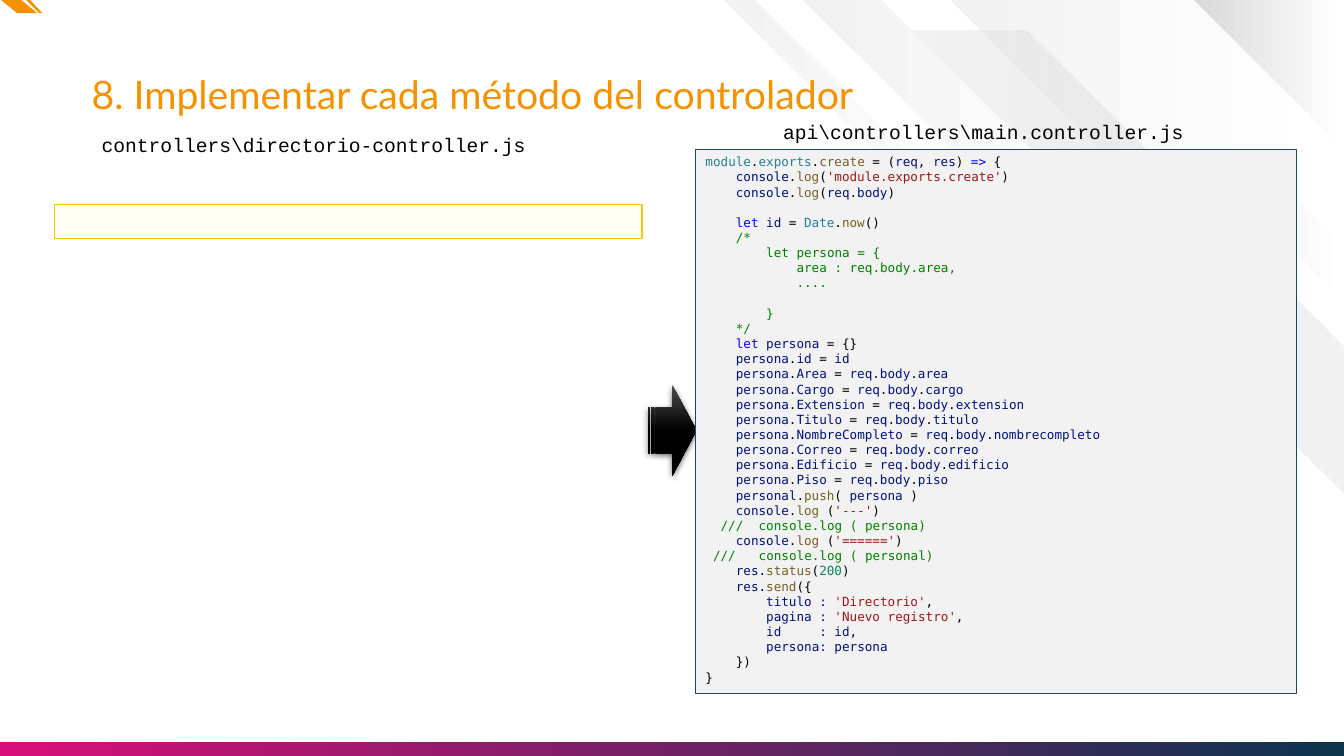
from dataclasses import dataclass
from itertools import groupby

from lxml import etree
from pptx import Presentation
from pptx.dml.color import RGBColor
from pptx.enum.shapes import MSO_SHAPE
from pptx.enum.text import MSO_ANCHOR, PP_ALIGN
from pptx.oxml.ns import qn
from pptx.util import Inches, Pt

RECTANGLE = MSO_SHAPE.RECTANGLE
STRIPED_ARROW = MSO_SHAPE.STRIPED_RIGHT_ARROW
TOP, MIDDLE = MSO_ANCHOR.TOP, MSO_ANCHOR.MIDDLE
LEFT = PP_ALIGN.LEFT
COLUMNS, ROWS = 160, 90


@dataclass(frozen=True)
class Theme:
    accent: str = "F69200"
    ink: str = "000000"
    panel: str = "F2F2F2"
    panel_line: str = "20455A"
    note: str = "FFFFF3"
    note_line: str = "FEC306"
    type_name: str = "267F99"
    function: str = "795E26"
    variable: str = "001080"
    keyword: str = "0000FF"
    string: str = "A31515"
    number: str = "098658"
    comment: str = "008000"
    pale: tuple = ((0, "FFFFFF", 100), (100, "F2F2F2", 100))
    veil: tuple = ((0, "F2F2F2", 100), (100, "D9D9D9", 26))
    corner: tuple = ((0, "FFFFFF", 100), (100, "D9D9D9", 100))
    footer: tuple = ((0, "0C344C", 100), (100, "D80F79", 100))
    arrow: tuple = ((0, "4B4B4B", 100), (50, "000000", 100), (100, "000000", 100))
    title_font: str = "Lato"
    caption_font: str = "Courier New"
    code_font: str = "DejaVu Sans Mono"
    title_size: float = 28
    caption_size: float = 14
    code_size: float = 9
    code_line: float = 10.8
    code_character: float = 5.42


THEME = Theme()

WORD_COLOURS = {
    **dict.fromkeys(["module", "exports", "Date"], THEME.type_name),
    **dict.fromkeys(["create", "log", "now", "push", "status", "send"], THEME.function),
    **dict.fromkeys(["let", "=>"], THEME.keyword),
    ":": THEME.variable,
}

BANDS = [
    (THEME.pale, [(160, 0), (113.2, 0), (160, 46.8)]),
    (THEME.veil, [(160, 41.3), (122.3, 3.6), (104.5, 3.6), (160, 58.9)]),
    (THEME.pale, [(160, 29.4), (149.9, 19.3), (149.9, 25.7), (160, 35.8)]),
    (THEME.pale, [(138.8, 33.8), (104.9, 0), (95.6, 0), (129.6, 33.8)]),
    (THEME.corner, [(160, 0), (142.2, 0), (160, 17.8)]),
    (THEME.pale, [(89.8, 0), (120.1, 30.4), (120.1, 33.8), (86.2, 0)]),
    (THEME.accent, [(0.12, 0), (2.04, 1.56), (4.44, 1.56), (2.52, 0)]),
    (THEME.accent, [(3.12, 0), (4.68, 1.56), (5.04, 1.56), (3.6, 0)]),
]

CODE_OPENING = """module.exports.create = (req, res) => {
    console.log('module.exports.create')
    console.log(req.body)

    let id = Date.now()
    /*
        let persona = {
            area : req.body.area,
            ....

        }
    */
    let persona = {}
    persona.id = id"""

FIELDS = ["Area", "Cargo", "Extension", "Titulo", "NombreCompleto", "Correo", "Edificio", "Piso"]

CODE_CLOSING = """    personal.push( persona )
    console.log ('---')
  ///  console.log ( persona)
    console.log ('======')
 ///   console.log ( personal)
    res.status(200)
    res.send({
        titulo : 'Directorio',
        pagina : 'Nuevo registro',
        id     : id,
        persona: persona
    })
}"""


def token_colour(token):
    """Return the colour of one word, number or symbol."""
    if token.isdigit():
        return THEME.number
    return WORD_COLOURS.get(token, THEME.variable if token.isalnum() else THEME.ink)


def coloured_runs(line):
    """Split a line of code into neighbouring pieces of one colour each."""
    tokens = []
    for index, part in enumerate(line.split("'")):
        if index % 2:
            tokens.append((f"'{part}'", THEME.string))
            continue
        for _, letters in groupby(part, lambda c: (c.isalnum(), c.isspace())):
            token = "".join(letters)
            tokens.append((token, token_colour(token)))
    for colour, group in groupby(tokens, lambda pair: pair[1]):
        yield "".join(text for text, _ in group), colour


class SlideBuilder:
    """Draws themed elements on one slide, measured in columns and rows."""

    def __init__(self, presentation, theme):
        self.theme = theme
        self.column = presentation.slide_width / COLUMNS
        self.row = presentation.slide_height / ROWS
        self.slide = presentation.slides.add_slide(presentation.slide_layouts[6])

    def place(self, column, row):
        return round(column * self.column), round(row * self.row)

    def box(self, left, top, width, height):
        return *self.place(left, top), *self.place(width, height)

    def paint(self, shape, fill, line=None, angle=180):
        shape.shadow.inherit = False
        if isinstance(fill, str):
            shape.fill.solid()
            shape.fill.fore_color.rgb = RGBColor.from_string(fill)
        else:
            self.gradient(shape, fill, angle)
        if line:
            shape.line.color.rgb = RGBColor.from_string(line)
            shape.line.width = Pt(0.75)
        else:
            shape.line.fill.background()

    def gradient(self, shape, stops, angle):
        shape.fill.gradient()
        gradient = shape._element.spPr.find(qn("a:gradFill"))
        for child in list(gradient):
            gradient.remove(child)
        stop_list = etree.SubElement(gradient, qn("a:gsLst"))
        for position, colour, opacity in stops:
            stop = etree.SubElement(stop_list, qn("a:gs"), pos=str(position * 1000))
            self.colour(stop, colour, opacity)
        etree.SubElement(gradient, qn("a:lin"), ang=str(angle * 60000), scaled="0")

    def colour(self, parent, colour, opacity):
        element = etree.SubElement(parent, qn("a:srgbClr"), val=colour)
        if opacity < 100:
            etree.SubElement(element, qn("a:alpha"), val=str(opacity * 1000))

    def outline(self, fill, corners):
        points = [self.place(*corner) for corner in corners]
        builder = self.slide.shapes.build_freeform(*points[0])
        builder.add_line_segments(points[1:], close=True)
        self.paint(builder.convert_to_shape(), fill)

    def shape(self, kind, area, fill, line=None, angle=180):
        shape = self.slide.shapes.add_shape(kind, *self.box(*area))
        self.paint(shape, fill, line, angle)
        return shape

    def arrow(self, area):
        shape = self.shape(STRIPED_ARROW, area, self.theme.arrow, angle=90)
        effects = shape._element.spPr.find(qn("a:effectLst"))
        shadow = etree.SubElement(effects, qn("a:outerShdw"), blurRad=str(Pt(4.5)),
                                  dist=str(Pt(1.5)), dir="5400000", rotWithShape="0")
        self.colour(shadow, self.theme.ink, 63)

    def style(self, paragraph, font, size, colour):
        paragraph.font.name = font
        paragraph.font.size = Pt(size)
        paragraph.font.color.rgb = RGBColor.from_string(colour)

    def text(self, area, text, font, size, colour):
        frame = self.slide.shapes.add_textbox(*self.box(*area)).text_frame
        frame.word_wrap = True
        frame.text = text
        self.style(frame.paragraphs[0], font, size, colour)
        return frame

    def title(self, area, text):
        theme = self.theme
        frame = self.text(area, text, theme.title_font, theme.title_size, theme.accent)
        frame.margin_left = frame.margin_right = frame.margin_top = frame.margin_bottom = 0
        frame.vertical_anchor = MIDDLE
        frame.paragraphs[0].line_spacing = 0.9

    def caption(self, area, text):
        self.text(area, text, self.theme.caption_font, self.theme.caption_size, self.theme.ink)

    def code(self, area, lines):
        theme = self.theme
        frame = self.shape(RECTANGLE, area, theme.panel, theme.panel_line).text_frame
        frame.vertical_anchor = TOP
        paragraph, gap, in_comment = frame.paragraphs[0], 0, False
        for line in lines:
            code = line.lstrip()
            if not code:
                gap = theme.code_line
                continue
            if paragraph.runs:
                paragraph = frame.add_paragraph()
            paragraph.alignment = LEFT
            paragraph.space_before, gap = Pt(gap), 0
            indent = Pt((len(line) - len(code)) * theme.code_character)
            paragraph._p.get_or_add_pPr().set("marL", str(indent))
            self.style(paragraph, theme.code_font, theme.code_size, theme.ink)
            in_comment = in_comment or code.startswith("/*")
            is_comment = in_comment or code.startswith("///")
            for text, colour in [(code, theme.comment)] if is_comment else coloured_runs(code):
                run = paragraph.add_run()
                run.text = text
                run.font.color.rgb = RGBColor.from_string(colour)
            in_comment = in_comment and not code.endswith("*/")


def main():
    presentation = Presentation()
    presentation.slide_width, presentation.slide_height = Inches(13.33), Inches(7.5)
    builder = SlideBuilder(presentation, THEME)
    for fill, corners in BANDS:
        builder.outline(fill, corners)
    builder.shape(RECTANGLE, (0, 88.32, COLUMNS, 1.68), THEME.footer)
    builder.title((10.92, 9, 130.2, 5.04), "8. Implementar cada método del controlador")
    builder.arrow((77.16, 45.84, 5.76, 10.8))
    builder.caption((10.92, 15.24, 69.96, 4.08), "controllers\\directorio-controller.js")
    builder.caption((92.04, 13.68, 50.4, 4.08), "api\\controllers\\main.controller.js")
    builder.shape(RECTANGLE, (6.48, 24.36, 69.96, 4.08), THEME.note, THEME.note_line)
    assignments = [f"    persona.{field} = req.body.{field.lower()}" for field in FIELDS]
    lines = CODE_OPENING.splitlines() + assignments + CODE_CLOSING.splitlines()
    builder.code((82.8, 17.76, 71.52, 64.8), lines)
    presentation.save("out.pptx")


if __name__ == "__main__":
    main()
